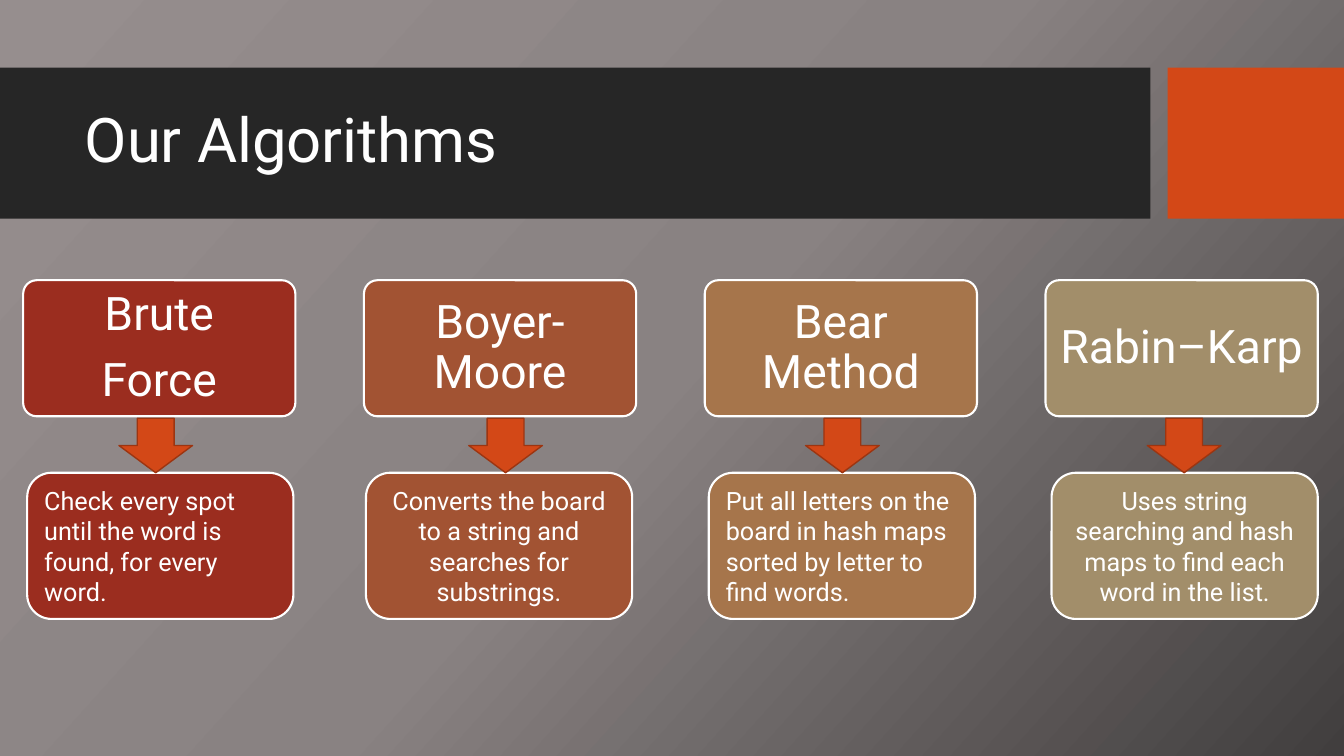
"""Build the slide that introduces four word search algorithms."""
from copy import deepcopy

from pptx import Presentation
from pptx.dml.color import RGBColor
from pptx.enum.shapes import MSO_SHAPE as Shape
from pptx.enum.text import MSO_ANCHOR as Anchor, MSO_AUTO_SIZE as AutoSize, PP_ALIGN as Align
from pptx.oxml.ns import qn
from pptx.util import Inches, Pt

FONT = "Roboto"
WHITE = RGBColor(0xFF, 0xFF, 0xFF)
CHARCOAL = RGBColor(0x26, 0x26, 0x26)
ORANGE = RGBColor(0xD3, 0x48, 0x17)
RUST = RGBColor(0x9C, 0x35, 0x11)
RED = RGBColor(0x9B, 0x2D, 0x1F)
SIENNA = RGBColor(0xA2, 0x53, 0x33)
BRONZE = RGBColor(0xA6, 0x75, 0x4B)
KHAKI = RGBColor(0xA2, 0x8E, 0x6A)
BACKGROUND = [
    (0, RGBColor(0x96, 0x8E, 0x8E)),
    (0.5, RGBColor(0x89, 0x82, 0x82)),
    (1, RGBColor(0x41, 0x3E, 0x3E)),
]

ALGORITHMS = [
    (["Brute", "Force"], "Check every spot until the word is found, for every word.",
     RED, Align.LEFT, 0.27, 1.18),
    (["Boyer-Moore"], "Converts the board to a string and searches for substrings.",
     SIENNA, Align.CENTER, 3.63, 4.65),
    (["Bear Method"], "Put all letters on the board in hash maps sorted by letter to find words.",
     BRONZE, Align.LEFT, 7.03, 7.99),
    (["Rabin–Karp"], "Uses string searching and hash maps to find each word in the list.",
     KHAKI, Align.CENTER, 10.43, 11.38),
]


def write(shape, lines, size, align=Align.LEFT, spacing=1.0, after=0, insets=(0.1, 0.05)):
    frame = shape.text_frame
    frame.word_wrap = True
    frame.auto_size = AutoSize.NONE
    frame.vertical_anchor = Anchor.MIDDLE
    frame.margin_left = frame.margin_right = Inches(insets[0])
    frame.margin_top = frame.margin_bottom = Inches(insets[1])
    frame.text = "\n".join(lines)
    for paragraph in frame.paragraphs:
        paragraph.alignment = align
        paragraph.line_spacing = spacing
        paragraph.space_after = Pt(after)
        font = paragraph.runs[0].font
        font.name = FONT
        font.size = Pt(size)
        font.color.rgb = WHITE


class AlgorithmSlide:
    def __init__(self, presentation):
        self.slide = presentation.slides.add_slide(presentation.slide_layouts[5])

    def background(self, stops, angle):
        fill = self.slide.background.fill
        fill.gradient()
        fill.gradient_angle = angle
        stop_list = next(self.slide.element.iter(qn("a:gsLst")))
        stop_list.append(deepcopy(stop_list[0]))
        for stop, (position, color) in zip(fill.gradient_stops, stops):
            stop.position = position
            stop.color.rgb = color

    def title(self, text, left, top, width, height):
        title = self.slide.shapes.title
        title.left, title.top = Inches(left), Inches(top)
        title.width, title.height = Inches(width), Inches(height)
        write(title, [text], 44, spacing=0.9)
        self.slide.shapes.element.append(title.element)

    def block(self, kind, left, top, width, height, fill, line=None, weight=1.5):
        shape = self.slide.shapes.add_shape(
            kind, Inches(left), Inches(top), Inches(width), Inches(height))
        shape.shadow.inherit = False
        shape.fill.solid()
        shape.fill.fore_color.rgb = fill
        if line is None:
            shape.line.fill.background()
        else:
            shape.line.color.rgb = line
            shape.line.width = Pt(weight)
        return shape

    def heading(self, lines, left, fill):
        box = self.block(Shape.ROUNDED_RECTANGLE, left, 2.78, 2.7, 1.35, fill, WHITE)
        box.adjustments[0] = 0.1
        write(box, lines, 33, Align.CENTER, spacing=0.9, after=11.5, insets=(0.07, 0.05))

    def description(self, text, left, fill, align):
        box = self.block(Shape.ROUNDED_RECTANGLE, left, 4.69, 2.64, 1.45, fill, WHITE)
        write(box, [text], 18, align)

    def arrow(self, left):
        self.block(Shape.DOWN_ARROW, left, 4.15, 0.73, 0.54, ORANGE, RUST, 1)


def main():
    presentation = Presentation()
    presentation.slide_width = Inches(13.33)
    presentation.slide_height = Inches(7.5)
    page = AlgorithmSlide(presentation)
    page.background(BACKGROUND, 360 - 42)
    page.block(Shape.RECTANGLE, 0, 0.67, 11.41, 1.5, CHARCOAL)
    page.block(Shape.RECTANGLE, 11.58, 0.67, 1.75, 1.5, ORANGE)
    page.title("Our Algorithms", 0.74, 0.82, 10.51, 1.18)
    for column, (name, text, color, align, text_left, arrow_left) in enumerate(ALGORITHMS):
        page.heading(name, 0.23 + column * 3.38, color)
        page.description(text, text_left, color, align)
        page.arrow(arrow_left)
    presentation.save("out.pptx")


if __name__ == "__main__":
    main()
